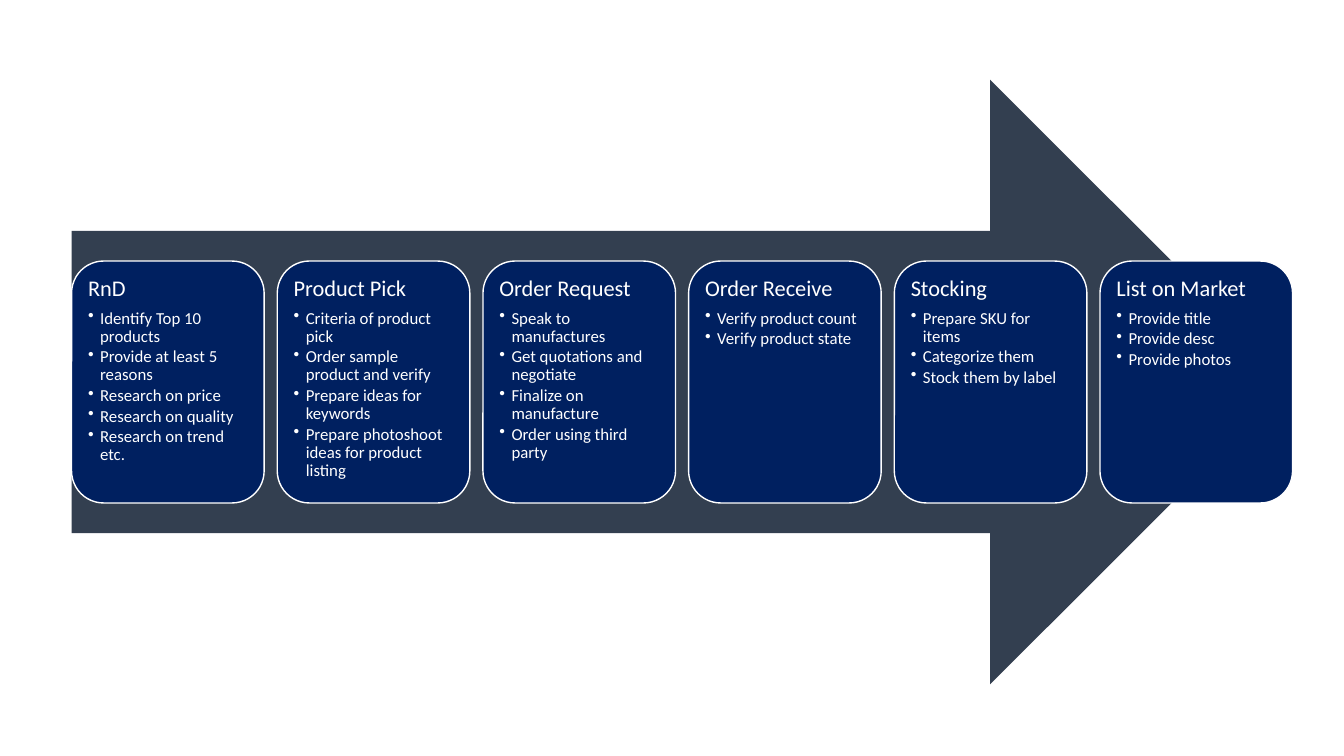
from lxml.etree import SubElement
from pptx import Presentation
from pptx.dml.color import RGBColor as RGB
from pptx.enum.shapes import MSO_SHAPE as SHAPE
from pptx.enum.text import MSO_ANCHOR as ANCHOR, PP_ALIGN as ALIGN
from pptx.oxml.ns import qn
from pptx.util import Inches, Pt

# Content: stage title and its tasks
STAGES = [
    ("RnD", ["Identify Top 10 products", "Provide at least 5 reasons",
             "Research on price", "Research on quality",
             "Research on trend etc."]),
    ("Product Pick", ["Criteria of product pick",
                      "Order sample product and verify",
                      "Prepare ideas for keywords",
                      "Prepare photoshoot ideas for product listing"]),
    ("Order Request", ["Speak to manufactures", "Get quotations and negotiate",
                       "Finalize on manufacture", "Order using third party"]),
    ("Order Receive", ["Verify product count", "Verify product state"]),
    ("Stocking", ["Prepare SKU for items", "Categorize them",
                  "Stock them by label"]),
    ("List on Market", ["Provide title", "Provide desc", "Provide photos"]),
]

# Format
COLORS = {"arrow": "333F50", "card": "002060", "text": "FFFFFF"}
FONT = "Calibri"
TITLE_SIZE, TASK_SIZE = 16, 12
TITLE_GAP, TASK_GAP = 0.35, 0.15    # space after, as a share of the text size
INDENT = Inches(0.12)
FRAME = {"word_wrap": True, "vertical_anchor": ANCHOR.TOP,
         **{f"margin_{side}": Inches(0.07)
            for side in ("left", "right", "top", "bottom")}}

# Layout: cards spread evenly along the arrow, 40% of its height
ARROW = Inches(0.71), Inches(0.79), Inches(12.11), Inches(6)
left, top, width, height = ARROW
CARD_W, CARD_H = Inches(1.91), int(height * 0.4)
STEP = (width - CARD_W) / (len(STAGES) - 1)
CARD_TOP = top + (height - CARD_H) // 2


def set_all(obj, values):
    for name, value in values.items():
        setattr(obj, name, value)


def add_shape(kind, box, color):
    sp = slide.shapes.add_shape(kind, *box)
    sp.shadow.inherit = False
    sp.fill.solid()
    sp.fill.fore_color.rgb = RGB.from_string(COLORS[color])
    return sp


def write(p, text, size, gap):
    set_all(p, {"alignment": ALIGN.LEFT, "line_spacing": 0.9,
                "space_after": Pt(size * gap)})
    r = p.add_run()
    r.text = text
    set_all(r.font, {"name": FONT, "size": Pt(size)})
    r.font.color.rgb = RGB.from_string(COLORS["text"])


def add_bullet(p):
    pPr = p._p.get_or_add_pPr()
    pPr.set("marL", str(INDENT))
    pPr.set("indent", str(-INDENT))
    SubElement(pPr, qn("a:buChar")).set("char", "•")


prs = Presentation()
set_all(prs, {"slide_width": Inches(13.33), "slide_height": Inches(7.5)})
slide = prs.slides.add_slide(prs.slide_layouts[6])

# Process arrow
add_shape(SHAPE.RIGHT_ARROW, ARROW, "arrow").line.fill.background()

# Stage cards
for i, (title, tasks) in enumerate(STAGES):
    box = int(left + i * STEP), CARD_TOP, CARD_W, CARD_H
    card = add_shape(SHAPE.ROUNDED_RECTANGLE, box, "card")
    card.line.color.rgb = RGB.from_string(COLORS["text"])
    card.line.width = Pt(1)
    tf = card.text_frame
    set_all(tf, FRAME)
    write(tf.paragraphs[0], title, TITLE_SIZE, TITLE_GAP)
    for task in tasks:
        p = tf.add_paragraph()
        p.level = 1
        write(p, task, TASK_SIZE, TASK_GAP)
        add_bullet(p)

prs.save("out.pptx")
